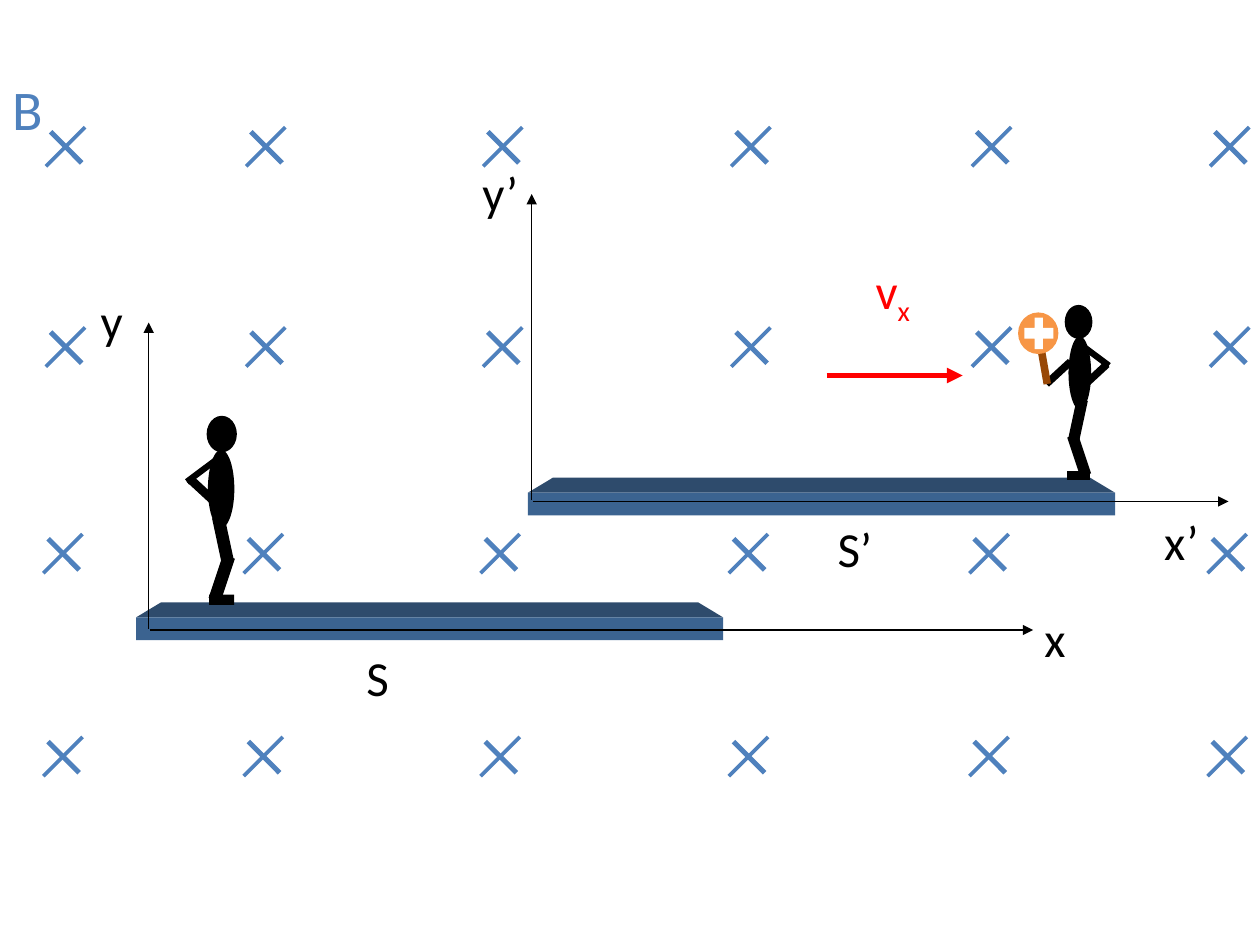
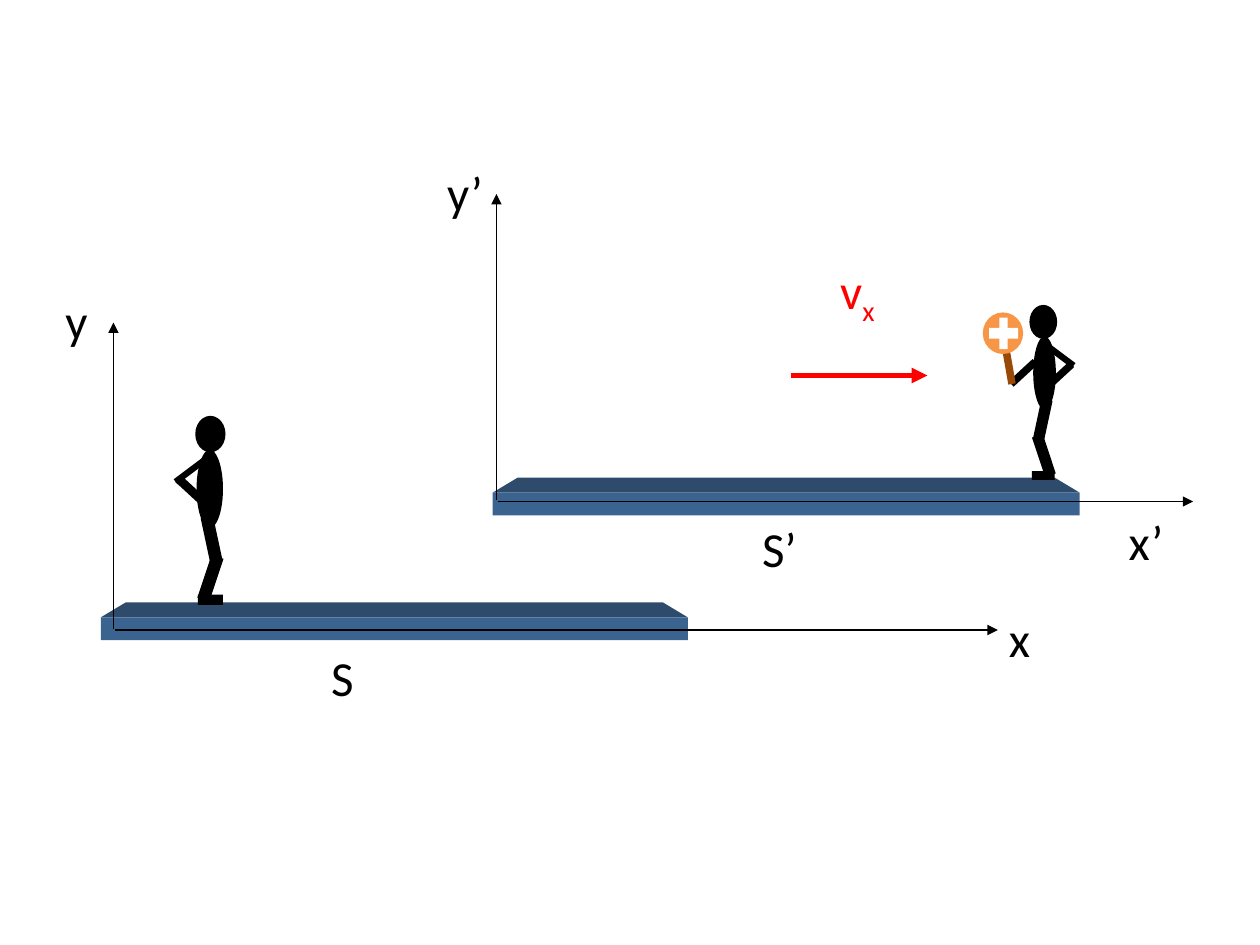
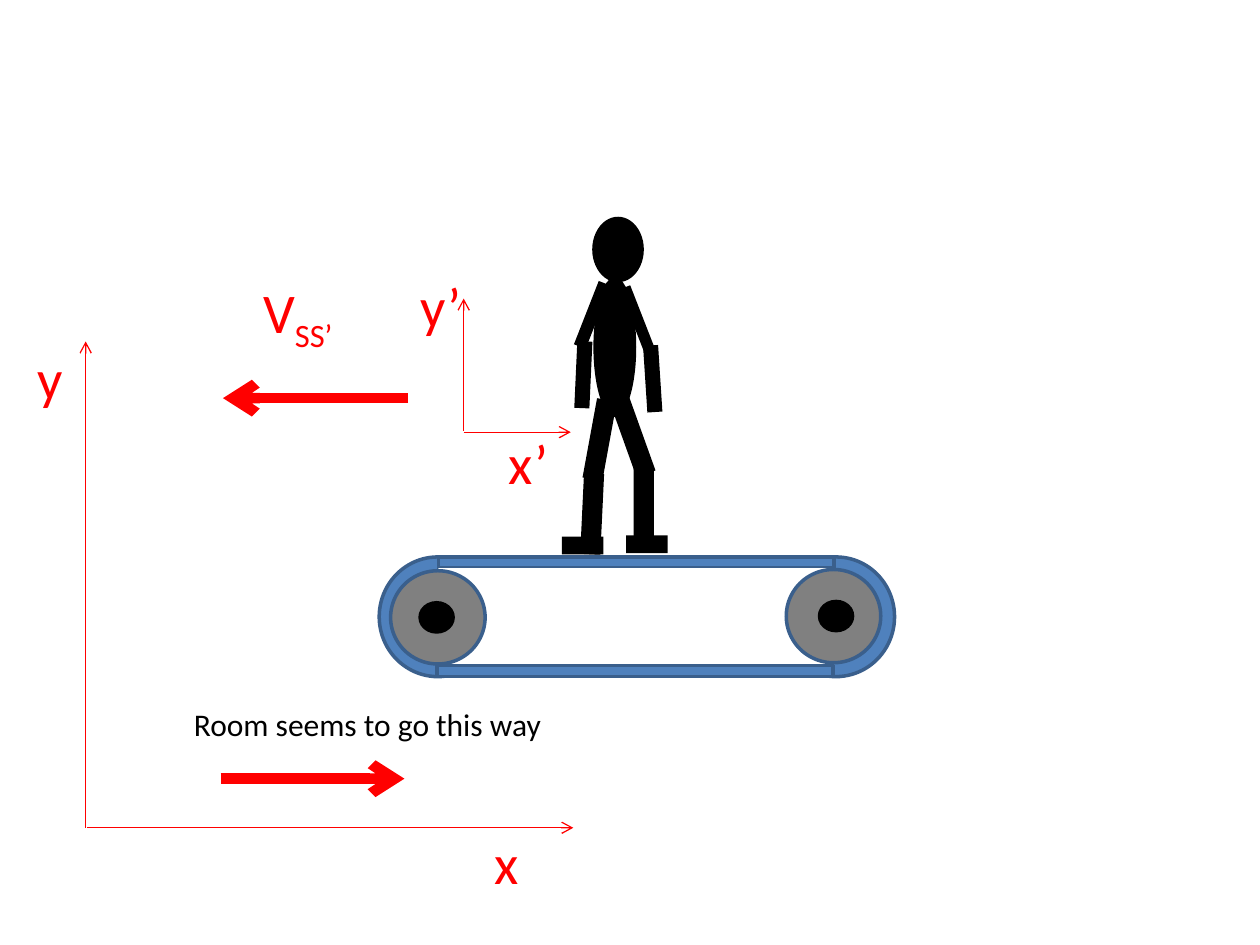
from lxml import etree
from pptx import Presentation
from pptx import util as u
from pptx.dml.color import RGBColor
from pptx.enum import shapes, text
from pptx.oxml import ns

PX = 9144  # EMU per px, 100 px to the inch
SLIDE_WIDTH, SLIDE_HEIGHT = 1000, 750

BLACK = RGBColor(0x00, 0x00, 0x00)
WHITE = RGBColor(0xFF, 0xFF, 0xFF)
RED = RGBColor(0xFF, 0x00, 0x00)
BLUE = RGBColor(0x4F, 0x81, 0xBD)
EDGE_BLUE = RGBColor(0x3A, 0x5F, 0x8C)
FRONT_BLUE = RGBColor(0x3B, 0x63, 0x90)
TOP_BLUE = RGBColor(0x2E, 0x4B, 0x6C)
GREY = RGBColor(0x80, 0x80, 0x80)
BROWN = RGBColor(0x98, 0x48, 0x07)
ORANGE = RGBColor(0xF7, 0x96, 0x46)

RECTANGLE = shapes.MSO_SHAPE.RECTANGLE
OVAL = shapes.MSO_SHAPE.OVAL
CROSS = shapes.MSO_SHAPE.CROSS

# Body parts: kind, left, top, width, height, rotation
WATCHER = [
    (OVAL, 6, 0, 24, 29, 0),
    (OVAL, 7, 27, 21, 62, 0),
    (RECTANGLE, 1, 26, 5, 33, 53.2),
    (RECTANGLE, 0, 45, 7, 30, 312.7),
    (RECTANGLE, 14, 80, 10, 36, 347.9),
    (RECTANGLE, 13, 111, 10, 36, 18.4),
    (RECTANGLE, 8, 142, 20, 8, 0),
]
RIDER = [
    (OVAL, 8, 0, 22, 27, 0),
    (OVAL, 11, 25, 18, 58, 0),
    (RECTANGLE, 29, 25, 5, 29, 306.8),
    (RECTANGLE, 29, 43, 6, 26, 47.3),
    (RECTANGLE, 14, 75, 9, 33, 12.1),
    (RECTANGLE, 15, 103, 9, 33, 341.6),
    (RECTANGLE, 10, 132, 18, 7, 0),
    (RECTANGLE, 0, 41, 6, 26, 47.3),
]
WALKER = [
    (OVAL, 24, 0, 41, 52, 0),
    (OVAL, 25, 48, 34, 111, 0),
    (RECTANGLE, 19, 51, 10, 54, 21.4),
    (RECTANGLE, 66, 102, 12, 53, 176.3),
    (RECTANGLE, 22, 145, 16, 64, 10.4),
    (RECTANGLE, 57, 198, 16, 64, 0),
    (RECTANGLE, 51, 253, 33, 14, 0),
    (RECTANGLE, 56, 54, 9, 58, 158.7),
    (RECTANGLE, 11, 99, 12, 53, 2.6),
    (RECTANGLE, 48, 142, 16, 64, 340.3),
    (RECTANGLE, 16, 204, 16, 64, 2.7),
    (RECTANGLE, 0, 254, 33, 14, 0),
]

FIELD_COLUMNS = [189, 377, 574, 765, 954, 30]
FIELD_ROWS = [(115, 0), (274, 0), (438, -2), (599, -2)]  # top, sideways offset


def set_values(target, values):
    for name, value in values.items():
        setattr(target, name, value)


class Canvas:
    """Holds the shared style and the slide being drawn."""

    font_name = "Calibri"

    def __init__(self):
        self.presentation = Presentation()
        set_values(self.presentation, {"slide_width": SLIDE_WIDTH * PX,
                                       "slide_height": SLIDE_HEIGHT * PX})

    def new_slide(self):
        self.slide = self.presentation.slides.add_slide(self.presentation.slide_layouts[6])
        self.shapes = self.slide.shapes

    def open_group(self):
        self.shapes = self.slide.shapes.add_group_shape().shapes

    def close_group(self):
        self.shapes = self.slide.shapes

    def paint(self, shape, fill, line=None):
        shape.shadow.inherit = False
        shape.fill.solid()
        shape.fill.fore_color.rgb = fill
        if line is None:
            shape.line.fill.background()
        else:
            shape.line.color.rgb = line
            shape.line.width = u.Pt(2)

    def shape(self, kind, left, top, width, height, fill, line=None, rotation=0):
        shape = self.shapes.add_shape(kind, *(PX * n for n in (left, top, width, height)))
        shape.rotation = rotation
        self.paint(shape, fill, line)
        return shape

    def outline(self, points, fill):
        builder = self.shapes.build_freeform(*points[0], scale=PX)
        builder.add_line_segments(points[1:])
        self.paint(builder.convert_to_shape(), fill)

    def figure(self, parts, left, top):
        for kind, x, y, width, height, rotation in parts:
            self.shape(kind, left + x, top + y, width, height, BLACK, rotation=rotation)

    def arrow(self, start, end, color, points=0.75, head="triangle"):
        connector = self.shapes.add_connector(
            shapes.MSO_CONNECTOR.STRAIGHT, *(PX * n for n in (*start, *end)))
        connector.line.color.rgb = color
        connector.line.width = u.Pt(points)
        etree.SubElement(connector.line._get_or_add_ln(), ns.qn("a:tailEnd"), type=head)
        etree.SubElement(connector._element.spPr, ns.qn("a:effectLst"))

    def label(self, words, left, top, width, height, color, size=28, subscript="", wrap=False):
        box = self.shapes.add_textbox(*(PX * n for n in (left, top, width, height)))
        set_values(box.text_frame, {"word_wrap": wrap,
                                    "auto_size": text.MSO_AUTO_SIZE.SHAPE_TO_FIT_TEXT})
        paragraph = box.text_frame.paragraphs[0]
        for content, baseline in ((words, None), (subscript, "-25000")):
            if not content:
                continue
            run = paragraph.add_run()
            run.text = content
            set_values(run.font, {"name": self.font_name, "size": u.Pt(size)})
            run.font.color.rgb = color
            if baseline:
                run._r.get_or_add_rPr().set("baseline", baseline)

    def platform(self, left, top):
        right = left + 466
        self.outline([(left, top), (left + 20, top - 12),
                      (right - 20, top - 12), (right, top)], TOP_BLUE)
        self.shape(RECTANGLE, left, top, 466, 18, FRONT_BLUE)

    def field_cross(self, left, top):
        self.shape(RECTANGLE, left + 5, top, 35, 4, BLUE, rotation=45)
        self.shape(RECTANGLE, left, top, 44, 3, BLUE, rotation=315)


def draw_frames(canvas, shift, watcher_left, moving_label_left, moving_label_width):
    """Draw the resting frame S and the moving frame S’, moved sideways by shift."""
    canvas.platform(108 + shift, 490)
    canvas.platform(419 + shift, 391)
    canvas.arrow((118 + shift, 499), (118 + shift, 256), BLACK)
    canvas.arrow((119 + shift, 500), (820 + shift, 500), BLACK)
    canvas.label("y", 70 + shift, 226, 38, 57, BLACK)
    canvas.label("x", 819 + shift, 478, 37, 57, BLACK)
    canvas.arrow((656 + shift, 298), (764 + shift, 298), RED, 3)
    canvas.label("v", 685 + shift, 202, 49, 57, RED, subscript="x")
    canvas.figure(RIDER, 837 + shift, 242)

    canvas.open_group()
    canvas.figure(WATCHER, watcher_left, 330)
    canvas.close_group()

    canvas.label("S", 281 + shift, 509, 38, 57, BLACK)
    canvas.label("S’", moving_label_left, 407, moving_label_width, 57, BLACK)
    canvas.arrow((422 + shift, 397), (422 + shift, 154), BLACK)
    canvas.arrow((423 + shift, 398), (975 + shift, 398), BLACK)
    canvas.label("y’", 373 + shift, 124, 49, 57, BLACK)
    canvas.label("x’", 914 + shift, 401, 48, 57, BLACK)

    canvas.shape(RECTANGLE, 826 + shift, 279, 6, 26, BROWN, rotation=350)
    canvas.open_group()
    canvas.shape(OVAL, 808 + shift, 248, 32, 33, ORANGE)
    plus = canvas.shape(CROSS, 813 + shift, 252, 23, 25, WHITE)
    plus.adjustments[0] = 0.36
    canvas.close_group()


def draw_field(canvas):
    canvas.label("B", 0, 54, 45, 64, BLUE, 32)
    canvas.open_group()
    for left in FIELD_COLUMNS:
        for top, offset in FIELD_ROWS:
            canvas.field_cross(left + offset, top)
    canvas.close_group()


def draw_treadmill(canvas):
    for left in (301, 617):
        canvas.shape(OVAL, left, 442, 93, 95, BLUE, EDGE_BLUE)
    canvas.shape(RECTANGLE, 348, 442, 314, 9, BLUE, EDGE_BLUE)
    canvas.shape(RECTANGLE, 348, 451, 314, 82, WHITE)
    for left, top in ((310, 453), (624, 452)):
        canvas.shape(OVAL, left, top, 75, 74, GREY, EDGE_BLUE)
    canvas.shape(RECTANGLE, 347, 528, 314, 9, BLUE, EDGE_BLUE)
    for left, top in ((332, 477), (649, 476)):
        canvas.shape(OVAL, left, top, 29, 26, BLACK)


def draw_walking(canvas):
    canvas.figure(WALKER, 446, 172)
    draw_treadmill(canvas)
    for start, end, points in (
        ((324, 316), (177, 316), 6),
        ((175, 618), (321, 618), 6),
        ((368, 342), (368, 237), 0.75),
        ((368, 343), (453, 343), 0.75),
        ((68, 657), (68, 271), 0.75),
        ((69, 657), (455, 657), 0.75),
    ):
        canvas.arrow(start, end, RED, points, "arrow")
    canvas.label("Room seems to go this way", 144, 555, 299, 40, BLACK, 18)
    for words, subscript, left, top in (
        ("V", "SS’", 199, 215),
        ("y’", "", 324, 211),
        ("x’", "", 394, 335),
        ("y", "", 20, 268),
        ("x", "", 383, 653),
    ):
        canvas.label(words, left, top, 98, 64, RED, 32, subscript, wrap=True)


def main():
    canvas = Canvas()
    canvas.new_slide()
    draw_frames(canvas, 0, 158, 655, 48)
    draw_field(canvas)
    canvas.new_slide()
    draw_frames(canvas, -28, 149, 595, 48)
    canvas.new_slide()
    draw_walking(canvas)
    canvas.presentation.save("out.pptx")


if __name__ == "__main__":
    main()
